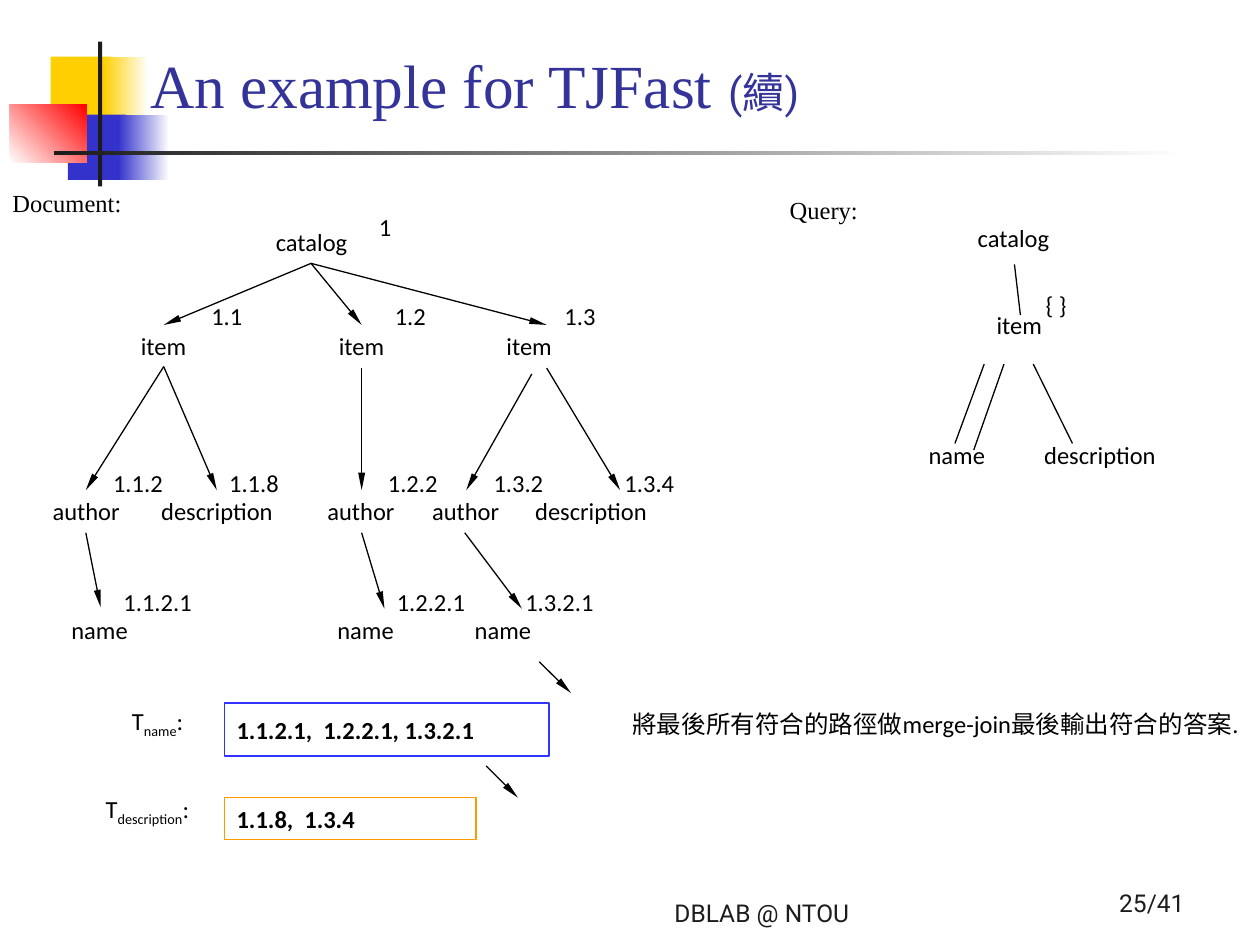
from lxml import etree
from pptx import Presentation
from pptx.dml.color import RGBColor
from pptx.enum.shapes import MSO_CONNECTOR, MSO_SHAPE
from pptx.enum.text import MSO_ANCHOR, MSO_AUTO_SIZE, PP_ALIGN
from pptx.oxml.ns import qn
from pptx.util import Cm, Pt

COLORS = {
    "text": "000000", "dark": "1C1C1C", "white": "FFFFFF", "title": "333399",
    "yellow": "FFCF01", "blue": "3333CC", "red": "FF0000",
    "name_border": "3333FF", "description_border": "FF9900",
}

# Label widths in cm; node numbers use the default
WIDTHS = {"catalog": 1.96, "item": 1.5, "author": 1.9, "description": 2.85}
DEFAULT_WIDTH = 2.34

# Each row: top, then (left, text) for every label on it
DOCUMENT_ROWS = [
    (4.14, [(7.39, "1")]),
    (4.45, [(5.31, "catalog")]),
    (5.94, [(4.01, "1.1"), (7.71, "1.2"), (11.13, "1.3")]),
    (6.55, [(2.59, "item"), (6.58, "item"), (9.96, "item")]),
    (9.32, [(2.03, "1.1.2"), (4.37, "1.1.8"), (7.57, "1.2.2"),
            (9.7, "1.3.2"), (12.34, "1.3.4")]),
    (9.88, [(0.81, "author"), (3, "description"), (6.35, "author"),
            (8.46, "author"), (10.54, "description")]),
    (11.71, [(2.24, "1.1.2.1"), (7.75, "1.2.2.1"), (10.34, "1.3.2.1")]),
    (12.27, [(1.19, "name"), (6.55, "name"), (9.32, "name")]),
]
QUERY_ROWS = [
    (4.37, [(19.46, "catalog")]),
    (5.72, [(20.83, "{ }")]),
    (6.12, [(19.84, "item")]),
    (8.74, [(18.47, "name"), (20.8, "description")]),
]

# Edges: start x, start y, end x, end y
DOCUMENT_EDGES = [
    (6.27, 5.31, 3.3, 6.55), (6.27, 5.31, 7.29, 6.55), (6.27, 5.31, 11.02, 6.55),
    (3.3, 7.39, 1.73, 9.88), (3.3, 7.39, 4.37, 9.88), (7.29, 7.42, 7.29, 9.88),
    (10.72, 7.54, 9.4, 9.88), (11.02, 7.42, 12.5, 9.88),
    (1.73, 10.74, 2.03, 12.24), (7.29, 10.74, 7.75, 12.27),
    (9.37, 10.74, 10.52, 12.27),
]
CURSORS = [(10.87, 13.34, 11.51, 13.97), (9.8, 15.44, 10.44, 16.08)]
QUERY_EDGES = [
    (20.45, 5.33, 20.57, 6.35), (19.84, 7.34, 19.25, 8.94),
    (20.24, 7.34, 19.63, 9.07), (20.83, 7.34, 21.62, 8.94),
]


def rgb(name):
    return RGBColor.from_string(COLORS[name])


def style_run(r, size=14, font="Calibri", color="text", bold=False):
    r.font.size = Pt(size)
    r.font.name = font
    r.font.bold = bold
    r.font.color.rgb = rgb(color)


def add_rect(slide, left, top, width, height, fill, fade_to=None, angle=0):
    sp = slide.shapes.add_shape(MSO_SHAPE.RECTANGLE, Cm(left), Cm(top),
                                Cm(width), Cm(height))
    sp.shadow.inherit = False
    sp.line.fill.background()
    if fade_to:
        sp.fill.gradient()
        sp.fill.gradient_angle = angle
        for stop, name in zip(sp.fill.gradient_stops, (fill, fade_to)):
            stop.color.rgb = rgb(name)
    else:
        sp.fill.solid()
        sp.fill.fore_color.rgb = rgb(fill)
    return sp


def add_label(slide, left, top, text, width=None, height=0.86, **style):
    width = width or WIDTHS.get(text, DEFAULT_WIDTH)
    sp = slide.shapes.add_textbox(Cm(left), Cm(top), Cm(width), Cm(height))
    tf = sp.text_frame
    tf.word_wrap = True
    tf.text = text
    style_run(tf.paragraphs[0].runs[0], **style)
    return tf


def add_edge(slide, x1, y1, x2, y2, arrow=False):
    line = slide.shapes.add_connector(MSO_CONNECTOR.STRAIGHT, Cm(x1), Cm(y1),
                                      Cm(x2), Cm(y2))
    line.line.width = Pt(0.75)
    line.line.color.rgb = rgb("text")
    if arrow:
        etree.SubElement(line.line._get_or_add_ln(), qn("a:tailEnd"),
                         type="triangle", w="sm", len="lg")
    etree.SubElement(line._element.spPr, qn("a:effectLst"))


def add_stream(slide, name, label_box, box, numbers, border):
    """A T-subscript label with its bordered list of node numbers."""
    left, top, width = label_box
    tf = add_label(slide, left, top, "T", width, 0.94)
    p = tf.paragraphs[0]
    for text, baseline in ((name, "-25000"), (":", "0")):
        r = p.add_run()
        r.text = text
        style_run(r)
        r.font._element.set("baseline", baseline)

    sp = add_rect(slide, *box, "white")
    sp.line.color.rgb = rgb(border)
    sp.line.width = Pt(0.75)
    tf = sp.text_frame
    tf.word_wrap = False
    tf.vertical_anchor = MSO_ANCHOR.MIDDLE
    tf.text = numbers
    p = tf.paragraphs[0]
    p.alignment = PP_ALIGN.LEFT
    style_run(p.runs[0], bold=True)


def add_decoration(slide):
    add_rect(slide, 1.02, 1.14, 1.22, 1.32, "yellow")
    add_rect(slide, 2.08, 1.14, 0.91, 1.32, "yellow", "white")
    add_rect(slide, 1.37, 2.31, 1.17, 1.32, "blue")
    add_rect(slide, 2.39, 2.31, 1.02, 1.32, "blue", "white")
    add_rect(slide, 0.2, 2.11, 1.55, 1.17, "white", "red", 45)
    add_rect(slide, 1.98, 0.84, 0.08, 2.92, "dark")
    add_rect(slide, 1.09, 3.05, 22.86, 0.08, "dark", "white")


def set_title(slide):
    sp = slide.shapes.title
    sp.left, sp.top, sp.width, sp.height = Cm(2.77), Cm(0.79), Cm(21.29), Cm(1.78)
    tf = sp.text_frame
    tf.auto_size = MSO_AUTO_SIZE.NONE
    tf.vertical_anchor = MSO_ANCHOR.BOTTOM
    p = tf.paragraphs[0]
    p.alignment = PP_ALIGN.LEFT
    for text, size, font in (("An example for TJFast", 35, "Times New Roman"),
                             (" ", 36, "Roboto"), ("(續)", 24, "Roboto")):
        r = p.add_run()
        r.text = text
        style_run(r, size, font, "title")


def add_footer(slide, left, top, width, text):
    tf = add_label(slide, left, top, text, width, 1.27, font="Roboto", color="dark")
    tf.vertical_anchor = MSO_ANCHOR.BOTTOM
    tf.paragraphs[0].alignment = PP_ALIGN.RIGHT


def main():
    prs = Presentation()
    prs.slide_width, prs.slide_height = Cm(25.4), Cm(19.05)
    slide = prs.slides.add_slide(prs.slide_layouts[5])

    add_decoration(slide)
    set_title(slide)

    # Document and query trees
    add_label(slide, 0, 3.66, "Document:", 4.65, font="Times New Roman")
    add_label(slide, 15.67, 3.81, "Query:", 3.18, font="Times New Roman")
    for top, labels in DOCUMENT_ROWS + QUERY_ROWS:
        for left, text in labels:
            add_label(slide, left, top, text)
    for edge in DOCUMENT_EDGES + CURSORS:
        add_edge(slide, *edge, arrow=True)
    for edge in QUERY_EDGES:
        add_edge(slide, *edge)

    # Streams of matching nodes
    add_stream(slide, "name", (2.41, 14.1, 1.75), (4.52, 14.17, 6.55, 1.07),
               "1.1.2.1,  1.2.2.1, 1.3.2.1", "name_border")
    add_stream(slide, "description", (1.88, 15.88, 2.5), (4.52, 16.08, 5.08, 0.84),
               "1.1.8,  1.3.4", "description_border")

    # Closing remark with a hanging indent
    tf = add_label(slide, 12.5, 14.17,
                   "將最後所有符合的路徑做merge-join最後輸出符合的答案.", 12.6, 2.34)
    pPr = tf.paragraphs[0]._p.get_or_add_pPr()
    pPr.set("marL", str(Cm(0.97)))
    pPr.set("indent", str(-Cm(0.97)))

    # Footer
    add_footer(slide, 9.32, 17.55, 8.05, "DBLAB @ NTOU")
    add_footer(slide, 18.21, 17.35, 5.92, "25/41")

    prs.save("out.pptx")


if __name__ == "__main__":
    main()
